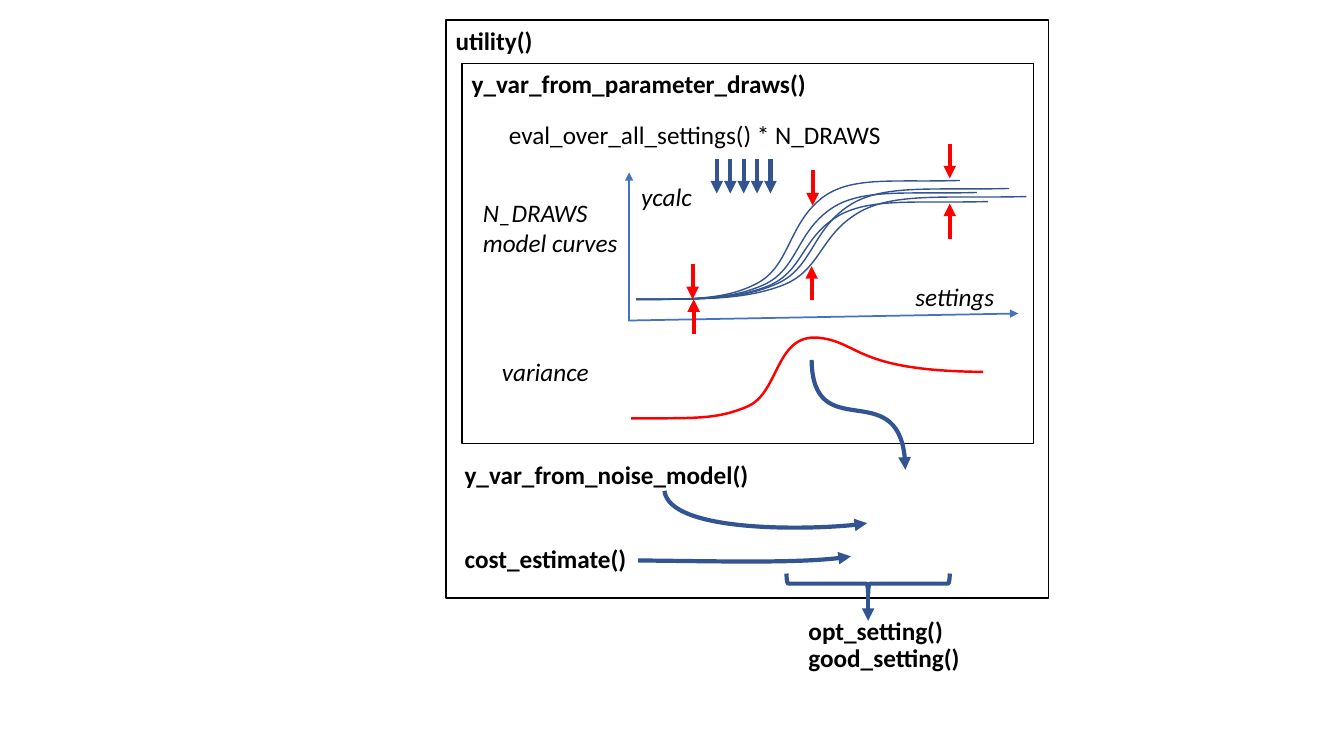
import pptx
import pptx.dml.color
import pptx.enum.shapes
import pptx.enum.text
import pptx.oxml
import pptx.oxml.ns
import pptx.util

PX = 9144
FONT = "Calibri"
COLORS = {"ink": "000000", "flow": "325491", "axis": "4472C4", "variance": "FF0000"}
CURVE_START = (631, 297)
CURVE_ENDS = [(1018, 195), (952, 179), (969, 191), (1001, 187), (980, 200)]
SIGMOID = [
    (0.18, 0), (0.28, 0), (0.375, 0.137),
    (0.47, 0.275), (0.47, 0.6), (0.56, 0.82),
    (0.65, 1.05), (0.79, 0.98), (1, 1),
]
VARIANCE_CURVE = [
    (626, 415), (692, 415), (712, 416), (742, 403), (773, 389),
    (769, 332), (811, 335), (853, 339), (847, 368), (975, 369),
]
FLOW_CURVES = [
    [(805, 357), (806, 443), (897, 366), (898, 466)],
    [(633, 556), (720, 557), (803, 559), (844, 552)],
    [(659, 487), (664, 528), (822, 526), (860, 519)],
]
VARIANCE_ARROWS = [
    (806, 169, 204), (688, 331, 297), (687, 262, 297),
    (942, 143, 177), (805, 298, 264), (942, 237, 202),
]
LABELS = [
    ("eval_over_all_settings() * N_DRAWS", (495, 113, 394, 40), False, False),
    ("settings", (898, 274, 100, 40), False, True),
    ("ycalc", (626, 175, 71, 40), False, True),
    ("N_DRAWS\nmodel curves", (469, 191, 158, 71), False, True),
    ("variance", (488, 349, 107, 40), False, True),
    ("y_var_from_noise_model()", (451, 451, 304, 40), True, False),
    ("cost_estimate()", (451, 534, 182, 40), True, False),
    ("opt_setting()", (792, 606, 155, 40), True, False),
    ("good_setting()", (792, 632, 172, 40), True, False),
]


def emu(*lengths):
    return [pptx.util.Emu(round(length * PX)) for length in lengths]


def rgb(name):
    return pptx.dml.color.RGBColor.from_string(COLORS[name])


def set_line(shape, color, width, arrow=False):
    shape.line.color.rgb = rgb(color)
    shape.line.width = pptx.util.Pt(width)
    if arrow:
        tail = pptx.oxml.parse_xml(
            f'<a:tailEnd {pptx.oxml.ns.nsdecls("a")} type="triangle"/>'
        )
        shape.line._get_or_add_ln().append(tail)


def write_text(shape, text, bold=False, italic=False):
    frame = shape.text_frame
    frame.text = text
    frame.vertical_anchor = pptx.enum.text.MSO_ANCHOR.TOP
    for paragraph in frame.paragraphs:
        paragraph.alignment = pptx.enum.text.PP_ALIGN.LEFT
        paragraph.font.name = FONT
        paragraph.font.size = pptx.util.Pt(18)
        paragraph.font.bold = bold
        paragraph.font.italic = italic
        paragraph.font.color.rgb = rgb("ink")


def add_label(slide, text, box, bold, italic):
    shape = slide.shapes.add_textbox(*emu(*box))
    shape.text_frame.word_wrap = False
    write_text(shape, text, bold, italic)


def add_outline(slide, kind, box, color, width):
    shape = slide.shapes.add_shape(kind, *emu(*box))
    shape.shadow.inherit = False
    shape.fill.background()
    set_line(shape, color, width)
    return shape


def add_frame(slide, title, box):
    rectangle = pptx.enum.shapes.MSO_SHAPE.RECTANGLE
    shape = add_outline(slide, rectangle, box, "ink", 1.25)
    write_text(shape, title, bold=True)


def add_arrow(slide, start, end, color, width=3):
    straight = pptx.enum.shapes.MSO_CONNECTOR.STRAIGHT
    connector = slide.shapes.add_connector(straight, *emu(*start, *end))
    set_line(connector, color, width, arrow=True)
    effects = pptx.oxml.parse_xml(f'<a:effectLst {pptx.oxml.ns.nsdecls("a")}/>')
    connector._element.spPr.append(effects)


def bend_segments(shape, points):
    segments = list(shape._element.iter(pptx.oxml.ns.qn("a:lnTo")))
    for index, segment in enumerate(segments):
        controls = [emu(*point) for point in points[3 * index + 1:3 * index + 4]]
        nodes = "".join(
            f'<a:pt x="{x - shape.left}" y="{y - shape.top}"/>' for x, y in controls
        )
        bend = pptx.oxml.parse_xml(
            f'<a:cubicBezTo {pptx.oxml.ns.nsdecls("a")}>{nodes}</a:cubicBezTo>'
        )
        segment.getparent().replace(segment, bend)


def add_curve(slide, points, color, width, arrow=False):
    anchors = [emu(*point) for point in points[::3]]
    builder = slide.shapes.build_freeform(*anchors[0])
    builder.add_line_segments(anchors[1:], close=False)
    shape = builder.convert_to_shape()
    bend_segments(shape, points)
    shape.shadow.inherit = False
    shape.fill.background()
    set_line(shape, color, width, arrow)


def add_model_curve(slide, end):
    left, base = CURVE_START
    width, rise = end[0] - left, base - end[1]
    points = [(left + x * width, base - y * rise) for x, y in SIGMOID]
    add_curve(slide, [CURVE_START] + points, "flow", 1)


def main():
    """Build the slide of the utility() call structure."""
    presentation = pptx.Presentation()
    presentation.slide_width, presentation.slide_height = emu(1333, 750)
    slide = presentation.slides.add_slide(presentation.slide_layouts[6])

    add_frame(slide, "utility()", (442, 20, 598, 573))
    add_frame(slide, "y_var_from_parameter_draws()", (458, 63, 567, 377))
    for points in FLOW_CURVES:
        add_curve(slide, points, "flow", 3, arrow=True)
    for draw in range(5):
        x = 711 + draw * 13.3
        add_arrow(slide, (x, 158), (x, 192), "flow")
    add_arrow(slide, (624, 318), (624, 171), "axis", 1.25)
    add_arrow(slide, (623, 318), (1010, 311), "axis", 1.25)
    for end in CURVE_ENDS:
        add_model_curve(slide, end)
    for x, start, end in VARIANCE_ARROWS:
        add_arrow(slide, (x, start), (x, end), "variance")
    add_curve(slide, VARIANCE_CURVE, "variance", 1.75)
    brace_kind = pptx.enum.shapes.MSO_SHAPE.RIGHT_BRACE
    brace = add_outline(slide, brace_kind, (851, 498, 20, 162), "flow", 3)
    brace.rotation = 90
    add_arrow(slide, (861, 582), (861, 616), "flow")
    for label in LABELS:
        add_label(slide, *label)

    presentation.save("out.pptx")


if __name__ == "__main__":
    main()
